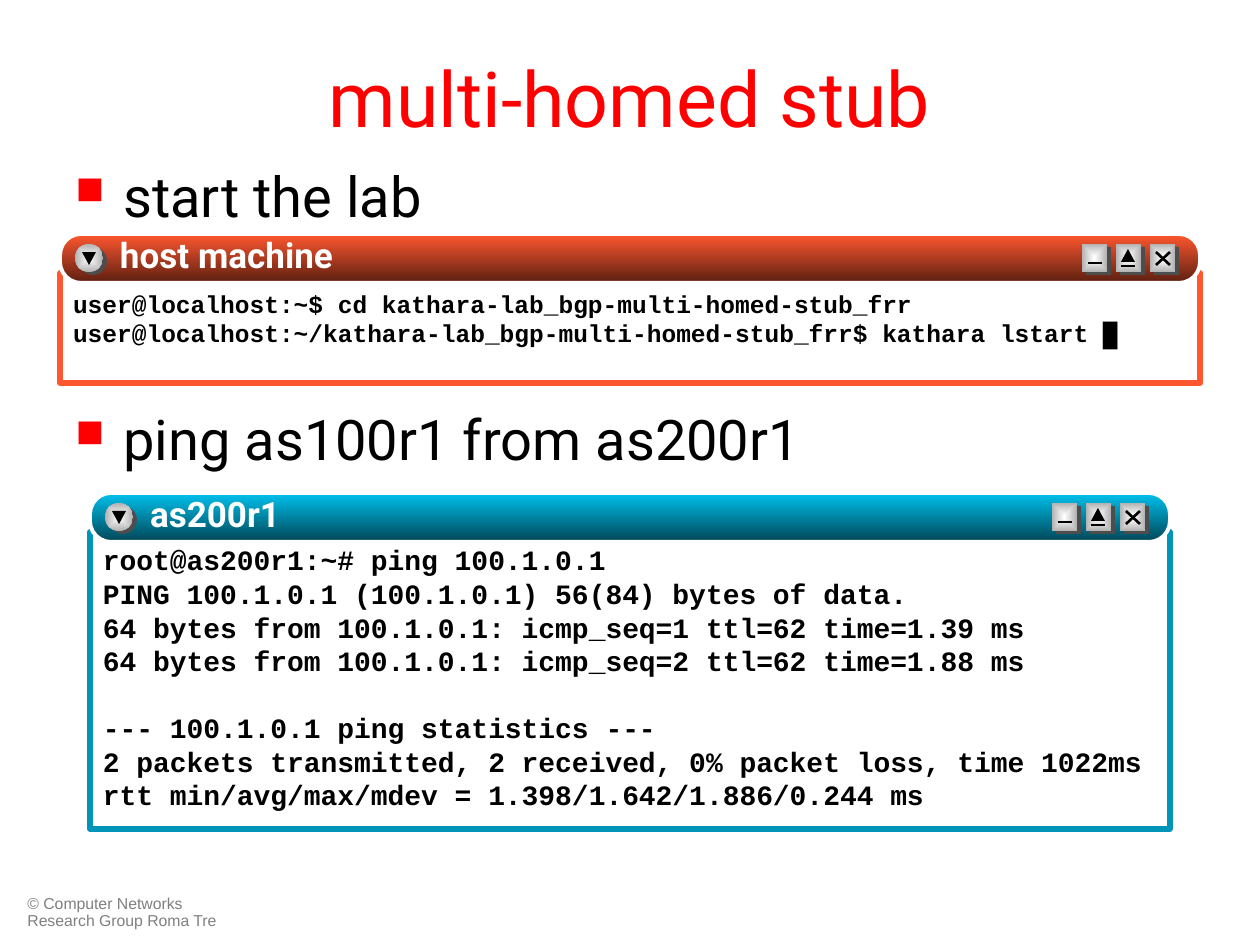
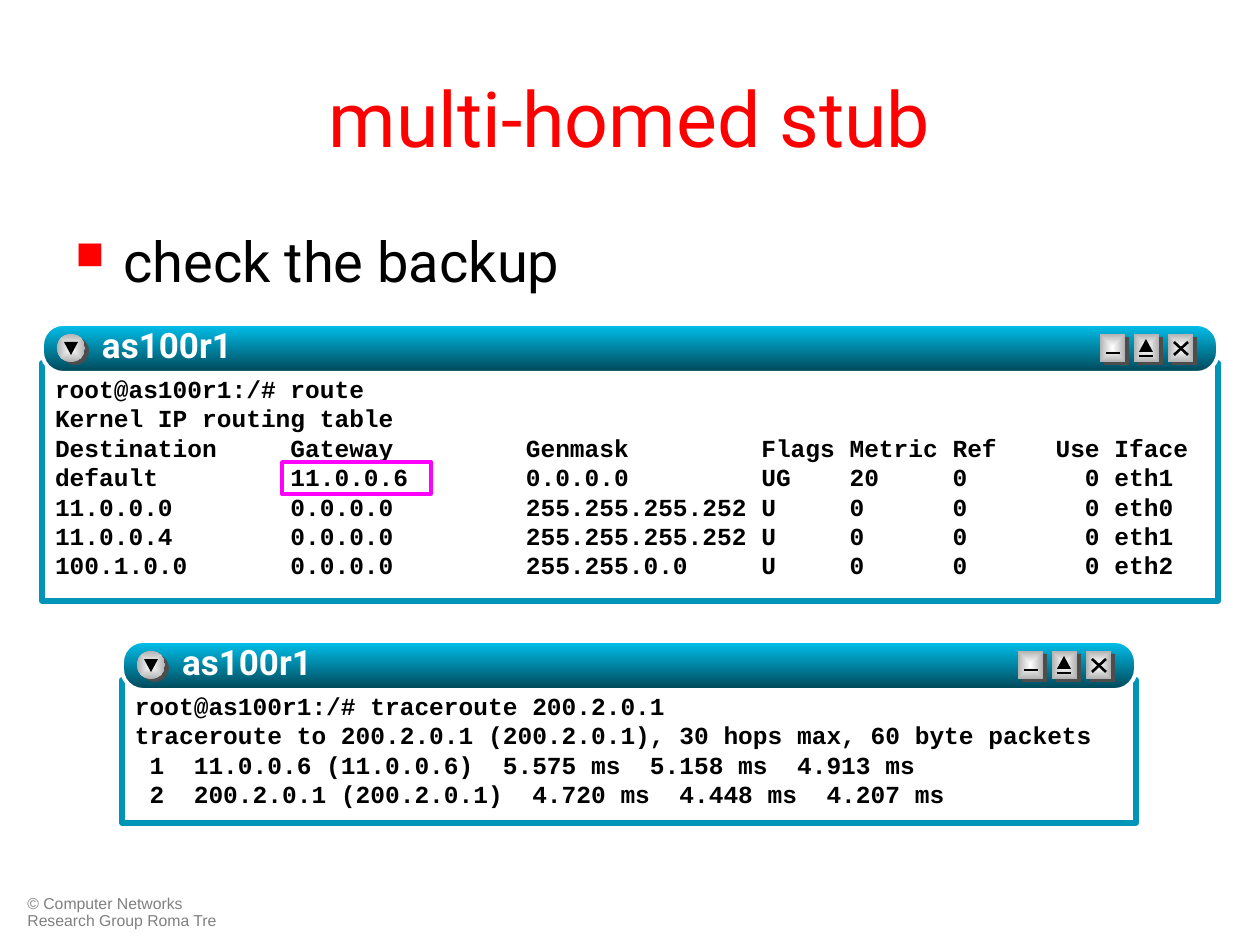
from lxml import etree
from pptx import Presentation
from pptx.dml.color import RGBColor
from pptx.enum.shapes import MSO_CONNECTOR, MSO_SHAPE
from pptx.enum.text import MSO_ANCHOR, PP_ALIGN
from pptx.oxml import parse_xml
from pptx.oxml.ns import nsdecls, qn
from pptx.util import Emu, Pt

EMU_PER_PX = 914400 / 126

RED, BLACK, WHITE, GREY = "FF0000", "000000", "FFFFFF", "808080"
BUTTON_SHADE, BUTTON_EDGE, MAGENTA = "4D4D4D", "B2B2B2", "FF00FF"
# Window themes: frame, bar top, bar bottom
HOST = ("FF572F", "FF572F", "5C1F11")
ROUTER = ("0095B8", "00C1EE", "004656")

TITLE_FONT, CODE_FONT, FOOTER_FONT = "Roboto", "Courier New", "Arial"
TITLE = "multi-homed stub"
FOOTER = "© Computer Networks Research Group Roma Tre"

START_LAB = [
    "user@localhost:~$ cd kathara-lab_bgp-multi-homed-stub_frr",
    "user@localhost:~/kathara-lab_bgp-multi-homed-stub_frr$ kathara lstart █",
]
PING = [
    "root@as200r1:~# ping 100.1.0.1",
    "PING 100.1.0.1 (100.1.0.1) 56(84) bytes of data.",
    "64 bytes from 100.1.0.1: icmp_seq=1 ttl=62 time=1.39 ms",
    "64 bytes from 100.1.0.1: icmp_seq=2 ttl=62 time=1.88 ms",
    "--- 100.1.0.1 ping statistics ---",
    "2 packets transmitted, 2 received, 0% packet loss, time 1022ms",
    "rtt min/avg/max/mdev = 1.398/1.642/1.886/0.244 ms",
]
ROUTES = [
    ("Destination", "Gateway", "Genmask", "Flags", "Metric", "Ref", "Use", "Iface"),
    ("default", "11.0.0.6", "0.0.0.0", "UG", "20", "0", "0", "eth1"),
    ("11.0.0.0", "0.0.0.0", "255.255.255.252", "U", "0", "0", "0", "eth0"),
    ("11.0.0.4", "0.0.0.0", "255.255.255.252", "U", "0", "0", "0", "eth1"),
    ("100.1.0.0", "0.0.0.0", "255.255.0.0", "U", "0", "0", "0", "eth2"),
]
ROUTE_FORMAT = "{:<15} {:<15} {:<15} {:<5} {:<6} {:<3} {:>6} {}"
TRACEROUTE = [
    "root@as100r1:/# traceroute 200.2.0.1",
    "traceroute to 200.2.0.1 (200.2.0.1), 30 hops max, 60 byte packets",
    " 1  11.0.0.6 (11.0.0.6)  5.575 ms  5.158 ms  4.913 ms",
    " 2  200.2.0.1 (200.2.0.1)  4.720 ms  4.448 ms  4.207 ms",
]


def px(length):
    return Emu(round(length * EMU_PER_PX))


def color(code):
    return RGBColor.from_string(code)


def style(paragraph, font_name, size, ink, bold=False):
    font = paragraph.font
    for run in paragraph.runs:
        font = run.font
        font.name, font.size, font.bold = font_name, Pt(size), bold
        font.color.rgb = color(ink)


def set_insets(frame, left, top, right, bottom):
    frame.margin_left, frame.margin_top = px(left), px(top)
    frame.margin_right, frame.margin_bottom = px(right), px(bottom)


def add_text(shapes, x, y, w, h, text):
    frame = shapes.add_textbox(px(x), px(y), px(w), px(h)).text_frame
    frame.word_wrap = True
    frame.text = text
    return frame


def add_preset(shapes, kind, x, y, w, h, fill=None, line=None, line_width=0):
    preset = shapes.add_shape(kind, px(x), px(y), px(w), px(h))
    preset.shadow.inherit = False
    if fill:
        preset.fill.solid()
        preset.fill.fore_color.rgb = color(fill)
    else:
        preset.fill.background()
    if line:
        preset.line.color.rgb = color(line)
        preset.line.width = Pt(line_width)
    else:
        preset.line.fill.background()
    return preset


def set_gradient(shape, first, last, from_center=False):
    shape.fill.gradient()
    shape.fill.gradient_angle = 270
    for stop, code in zip(shape.fill.gradient_stops, (first, last)):
        stop.color.rgb = color(code)
    if from_center:
        gradient = shape.fill._xPr.find(qn("a:gradFill"))
        gradient.replace(gradient.find(qn("a:lin")), parse_xml(
            f'<a:path {nsdecls("a")} path="rect">'
            '<a:fillToRect l="50000" t="50000" r="50000" b="50000"/></a:path>'))


def add_stroke(shapes, x1, y1, x2, y2):
    stroke = shapes.add_connector(MSO_CONNECTOR.STRAIGHT, px(x1), px(y1), px(x2), px(y2))
    stroke.line.color.rgb = color(BLACK)
    stroke.line.width = Pt(1.5)
    etree.SubElement(stroke._element.spPr, qn("a:effectLst"))


def add_button(shapes, kind, x, y, w, h):
    """A raised button: dark shade below, bright face on top."""
    add_preset(shapes, kind, x + 4, y + 3, w, h, BUTTON_SHADE)
    face = add_preset(shapes, kind, x, y, w, h, WHITE)
    set_gradient(face, WHITE, BUTTON_EDGE, from_center=True)


def add_arrow_mark(shapes, x, y):
    return add_preset(shapes, MSO_SHAPE.ISOSCELES_TRIANGLE, x, y, 14, 13, BLACK)


def add_window_buttons(shapes, x, y, right):
    # Menu button at the left
    add_button(shapes, MSO_SHAPE.OVAL, x + 15, y + 10, 28, 28)
    add_arrow_mark(shapes, x + 22, y + 18).rotation = 180

    # Minimize, maximize and close at the right
    minimize, maximize, close = (right - 118 + 34 * i for i in range(3))
    for left in (minimize, maximize, close):
        add_button(shapes, MSO_SHAPE.RECTANGLE, left, y + 10, 25, 28)
    add_stroke(shapes, minimize + 6, y + 29, minimize + 20, y + 29)
    add_stroke(shapes, maximize + 5, y + 32, maximize + 19, y + 32)
    add_arrow_mark(shapes, maximize + 5, y + 15)
    add_stroke(shapes, close + 6, y + 31, close + 20, y + 18)
    add_stroke(shapes, close + 6, y + 18, close + 20, y + 31)


def add_window_name(shapes, x, y, name):
    frame = add_text(shapes, x, y, 320, 49, name)
    set_insets(frame, 0, 0, 0, 0)
    style(frame.paragraphs[0], TITLE_FONT, 20, WHITE, bold=True)
    fill = frame.paragraphs[0].runs[0].font._element.find(qn("a:solidFill"))
    fill.addnext(parse_xml(
        f'<a:effectLst {nsdecls("a")}><a:outerShdw dist="17961" dir="2700000">'
        f'<a:srgbClr val="{BLACK}"/></a:outerShdw></a:effectLst>'))


def add_terminal(slide, x, y, w, h, name, lines, theme, size=14, top_inset=11):
    frame_color, bar_top, bar_bottom = theme
    shapes = slide.shapes.add_group_shape().shapes

    # Screen with its output
    screen = add_preset(shapes, MSO_SHAPE.RECTANGLE, x, y + 39, w, h - 39,
                        WHITE, frame_color, 3)
    output = screen.text_frame
    output.word_wrap = True
    output.vertical_anchor = MSO_ANCHOR.TOP
    set_insets(output, 13, top_inset, 13, 6)
    output.text = "\n".join(lines)
    for paragraph in output.paragraphs:
        paragraph.alignment = PP_ALIGN.LEFT
        style(paragraph, CODE_FONT, size, BLACK, bold=True)

    # Title bar
    bar = add_preset(shapes, MSO_SHAPE.ROUNDED_RECTANGLE, x, y, w, 49,
                     bar_top, WHITE, 2.25)
    bar.adjustments[0] = 0.43
    set_gradient(bar, bar_top, bar_bottom)
    add_window_buttons(shapes, x, y, x + w)
    add_window_name(shapes, x + 60, y, name)
    return output


def add_bullet(slide, y, text):
    paragraph = add_text(slide.shapes, 63, y, 1134, 80, text).paragraphs[0]
    properties = paragraph._p.get_or_add_pPr()
    properties.set("marL", str(px(48)))
    properties.set("indent", str(-px(48)))
    color_mark = etree.SubElement(properties, qn("a:buClr"))
    etree.SubElement(color_mark, qn("a:srgbClr"), val=RED)
    etree.SubElement(properties, qn("a:buSzPct"), val="70000")
    etree.SubElement(properties, qn("a:buChar"), char="■")
    style(paragraph, TITLE_FONT, 32, BLACK)


def add_slide(deck, title_height):
    slide = deck.slides.add_slide(deck.slide_layouts[5])

    # Footer
    footer = add_text(slide.shapes, 15, 890, 218, 45, FOOTER).paragraphs[0]
    footer.line_spacing = 0.9
    style(footer, FOOTER_FONT, 9, GREY)

    # Title
    title = slide.shapes.title
    title.left, title.top = px(63), px(38)
    title.width, title.height = px(1134), px(title_height)
    title.text_frame.text = TITLE
    title.text_frame.vertical_anchor = MSO_ANCHOR.MIDDLE
    heading = title.text_frame.paragraphs[0]
    heading.alignment = PP_ALIGN.CENTER
    style(heading, TITLE_FONT, 44, RED)
    return slide


def build_lab_start(deck):
    slide = add_slide(deck, 117)
    add_bullet(slide, 155, "start the lab")
    add_bullet(slide, 398, "ping as100r1 from as200r1")
    add_terminal(slide, 60, 234, 1140, 149, "host machine", START_LAB, HOST, top_inset=16)
    ping = add_terminal(slide, 90, 493, 1080, 336, "as200r1", PING, ROUTER, size=16)
    # One line of space above the statistics
    ping.paragraphs[4].space_before = Pt(19)


def build_backup_check(deck):
    slide = add_slide(deck, 158)
    add_bullet(slide, 220, "check the backup")
    route = ["root@as100r1:/# route", "Kernel IP routing table"]
    route += [ROUTE_FORMAT.format(*row) for row in ROUTES]
    add_terminal(slide, 42, 324, 1176, 277, "as100r1", route, ROUTER)
    # Highlight of the default gateway
    add_preset(slide.shapes, MSO_SHAPE.RECTANGLE, 282, 462, 149, 32,
               line=MAGENTA, line_width=2)
    add_terminal(slide, 122, 641, 1014, 182, "as100r1", TRACEROUTE, ROUTER)


def main():
    deck = Presentation()
    deck.slide_width, deck.slide_height = px(1260), px(945)
    build_lab_start(deck)
    build_backup_check(deck)
    deck.save("out.pptx")


if __name__ == "__main__":
    main()
